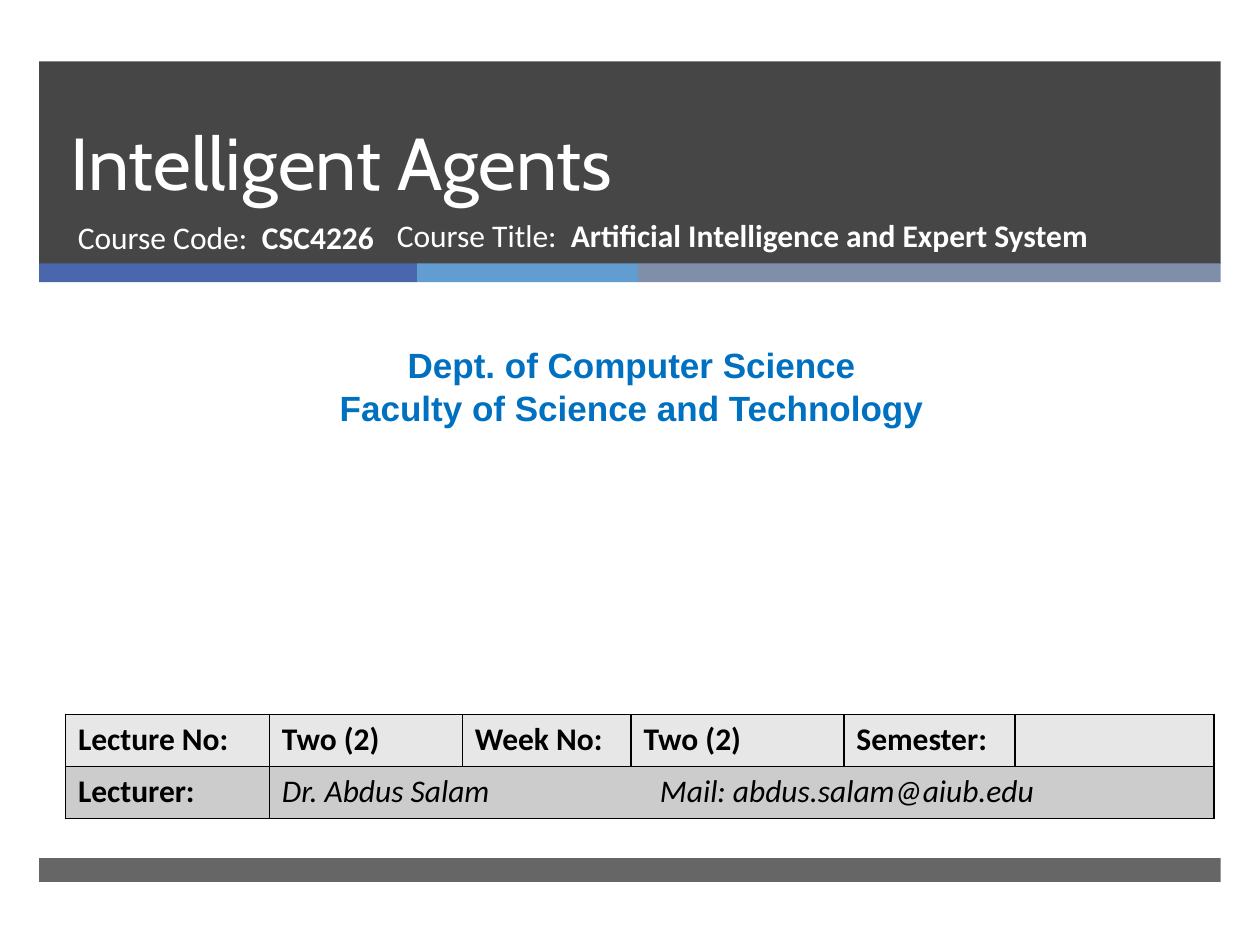
from lxml import etree
from pptx import Presentation
from pptx.dml.color import RGBColor
from pptx.enum import shapes, text
from pptx.oxml.ns import qn
from pptx.util import Cm, Pt

WHITE = RGBColor(0xFF, 0xFF, 0xFF)
BLACK = RGBColor(0, 0, 0)
CHARCOAL = RGBColor(0x26, 0x26, 0x26)
INDIGO = RGBColor(0x4A, 0x66, 0xAC)
SKY = RGBColor(0x62, 0x9D, 0xD1)
SLATE = RGBColor(0x7F, 0x8F, 0xA9)
BLUE = RGBColor(0x00, 0x70, 0xC0)
LIGHT_GREY = RGBColor(0xE7, 0xE7, 0xE7)
MID_GREY = RGBColor(0xCC, 0xCC, 0xCC)


def style(run, size, name, color, bold=False, italic=False):
    run.font.size = Pt(size)
    run.font.name = name
    run.font.color.rgb = color
    run.font.bold = bold
    run.font.italic = italic


def add_tab_stop(paragraph, position):
    stops = etree.SubElement(paragraph._p.get_or_add_pPr(), qn("a:tabLst"))
    etree.SubElement(stops, qn("a:tab"), pos=str(position), algn="l")


deck = Presentation()
deck.slide_width, deck.slide_height = Cm(25.4), Cm(19.05)
slide = deck.slides.add_slide(deck.slide_layouts[6])

# Header band, three-colour stripe and footer band: left, top, width, height, colour, opacity %
bands = [
    (0.79, 1.24, 23.82, 4.08, CHARCOAL, 85),
    (0.79, 5.31, 7.62, 0.38, INDIGO, 100),
    (8.41, 5.31, 4.45, 0.38, SKY, 100),
    (12.86, 5.31, 11.75, 0.38, SLATE, 100),
    (0.79, 17.3, 23.82, 0.48, CHARCOAL, 70),
]
for left, top, width, height, color, opacity in bands:
    band = slide.shapes.add_shape(
        shapes.MSO_SHAPE.RECTANGLE, Cm(left), Cm(top), Cm(width), Cm(height))
    band.shadow.inherit = False
    band.line.fill.background()
    band.fill.solid()
    band.fill.fore_color.rgb = color
    if opacity < 100:
        fill_color = band._element.spPr.find(qn("a:solidFill"))[0]
        etree.SubElement(fill_color, qn("a:alpha"), val=str(opacity * 1000))

# Lecture title
title = slide.shapes.add_textbox(Cm(1.17), Cm(1.24), Cm(21.69), Cm(3.02)).text_frame
title.word_wrap = True
title.vertical_anchor = text.MSO_ANCHOR.BOTTOM
title.text = "Intelligent Agents"
title.paragraphs[0].line_spacing = Pt(46)
style(title.paragraphs[0].runs[0], 42, "Cabin", WHITE)

# Course code and course title: left, top, width, label, value, tab stop
course_facts = [
    (1.32, 4.27, 7.75, "Course Code:", "CSC4226", 3.71),
    (7.75, 4.24, 14.53, "Course Title:", "Artificial Intelligence and Expert System", 3.51),
]
for left, top, width, label, value, stop in course_facts:
    fact = slide.shapes.add_textbox(Cm(left), Cm(top), Cm(width), Cm(1.35)).text_frame
    fact.word_wrap = True
    line = fact.paragraphs[0]
    add_tab_stop(line, Cm(stop))
    for words, bold in ((label + "\t", False), (value, True)):
        run = line.add_run()
        run.text = words
        style(run, 18, "Calibri", WHITE, bold)

# Department and faculty
department = slide.shapes.add_textbox(Cm(0.2), Cm(6.81), Cm(25.07), Cm(1.96)).text_frame
department.word_wrap = True
department.text = "Dept. of Computer Science\nFaculty of Science and Technology"
for line in department.paragraphs:
    line.alignment = text.PP_ALIGN.CENTER
    style(line.runs[0], 20, "Arial", BLUE, bold=True)

# Lecture details
rows = [
    ["Lecture No:", "Two (2)", "Week No:", "Two (2)", "Semester:", ""],
    ["Lecturer:", "Dr. Abdus Salam\tMail: abdus.salam@aiub.edu", "", "", "", ""],
]
column_widths = [4.11, 3.89, 3.4, 4.29, 3.45, 4.01]
details = slide.shapes.add_table(
    2, 6, Cm(1.32), Cm(14.4), Cm(sum(column_widths)), Cm(2.1)).table
for column, width in zip(details.columns, column_widths):
    column.width = Cm(width)
details.cell(1, 1).merge(details.cell(1, 5))

for r, (words, row_fill) in enumerate(zip(rows, (LIGHT_GREY, MID_GREY))):
    details.rows[r].height = Cm(1.05)
    for c, content in enumerate(words):
        cell = details.cell(r, c)
        # Borders come before the fill in the cell properties
        properties = cell._tc.get_or_add_tcPr()
        for side in ("a:lnL", "a:lnR", "a:lnT", "a:lnB"):
            border = etree.SubElement(properties, qn(side), w=str(Pt(1)))
            ink = etree.SubElement(border, qn("a:solidFill"))
            etree.SubElement(ink, qn("a:srgbClr"), val=str(BLACK))
        cell.fill.solid()
        cell.fill.fore_color.rgb = row_fill
        if content:
            is_lecturer = (r, c) == (1, 1)
            line = cell.text_frame.paragraphs[0]
            if is_lecturer:
                add_tab_stop(line, Cm(7.62))
            run = line.add_run()
            run.text = content
            style(run, 18, "Calibri", BLACK, bold=not is_lecturer, italic=is_lecturer)

deck.save("out.pptx")
